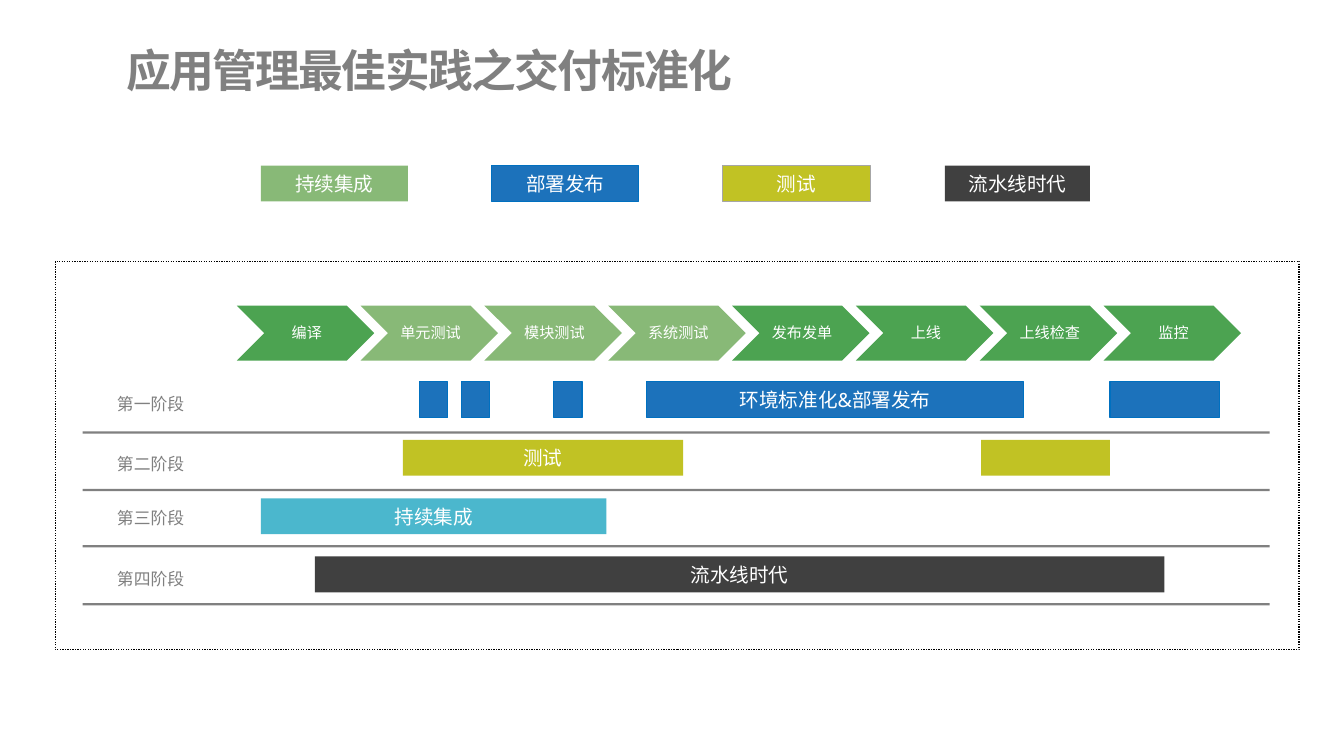
from pptx import Presentation
from pptx.dml.color import RGBColor
from pptx.enum.dml import MSO_LINE
from pptx.enum.shapes import MSO_SHAPE as SHAPE
from pptx.enum.text import MSO_ANCHOR as ANCHOR, MSO_AUTO_SIZE as AUTO_SIZE, PP_ALIGN as ALIGN
from pptx.oxml.ns import qn
from pptx.util import Pt

PX = 9144  # EMU per px, 100 px to the inch

WHITE = RGBColor(0xFF, 0xFF, 0xFF)
BLACK = RGBColor(0x00, 0x00, 0x00)
GRAY = RGBColor(0x80, 0x80, 0x80)
SILVER = RGBColor(0xA6, 0xA6, 0xA6)
CHARCOAL = RGBColor(0x40, 0x40, 0x40)
GREEN = RGBColor(0x4C, 0xA3, 0x51)
SAGE = RGBColor(0x88, 0xB9, 0x77)
BLUE = RGBColor(0x1C, 0x72, 0xBB)
BLUE_EDGE = RGBColor(0x00, 0x70, 0xC0)
OLIVE = RGBColor(0xC1, 0xC2, 0x24)
TEAL = RGBColor(0x4B, 0xB7, 0xCD)

SANS, CJK = "Noto Sans", "Noto Sans CJK SC"
BAR_HEIGHT = 79

# Legend: left, width, text, fill, edge
LEGEND = [
    (0, 324, "持续集成", SAGE, None),
    (509, 324, "部署发布", BLUE, BLUE_EDGE),
    (1018, 326, "测试", OLIVE, SILVER),
    (1508, 320, "流水线时代", CHARCOAL, None),
]

STEPS = [
    ("编译", GREEN), ("单元测试", SAGE), ("模块测试", SAGE), ("系统测试", SAGE),
    ("发布发单", GREEN), ("上线", GREEN), ("上线检查", GREEN), ("监控", GREEN),
]

# Stages: name, label top, bar top, rule top, fill, edge, bars (left, width, text)
STAGES = [
    ("第一阶段", 286, 266, 375, BLUE, BLUE_EDGE,
     [(803, 62, ""), (895, 62, ""), (1099, 62, ""),
      (1304, 830, "环境标准化&部署发布"), (2325, 241, "")]),
    ("第二阶段", 419, 394, 502, OLIVE, None, [(766, 618, "测试"), (2041, 284, "")]),
    ("第三阶段", 537, 523, 626, TEAL, None, [(453, 762, "持续集成")]),
    ("第四阶段", 673, 651, 754, CHARCOAL, None, [(572, 1873, "流水线时代")]),
]


def write_text(shape, text, size=31.1, color=WHITE, font=SANS, bold=False,
               align=ALIGN.CENTER, margins=(10, 5, 10, 5), line_spacing=None, tracking=None):
    frame = shape.text_frame
    frame.word_wrap = True
    frame.auto_size = AUTO_SIZE.NONE
    frame.vertical_anchor = ANCHOR.MIDDLE
    (frame.margin_left, frame.margin_top,
     frame.margin_right, frame.margin_bottom) = [m * PX for m in margins]
    paragraph = frame.paragraphs[0]
    paragraph.alignment = align
    paragraph.line_spacing = line_spacing
    run = paragraph.add_run()
    run.text = text
    run.font.size = Pt(size)
    run.font.bold = bold
    run.font.color.rgb = color
    run.font.name = font
    properties = run.font._element
    properties.makeelement(qn("a:ea"), {})
    east_asian = properties.makeelement(qn("a:ea"), {"typeface": CJK})
    properties.find(qn("a:latin")).addnext(east_asian)
    if tracking is not None:
        properties.set("spc", str(tracking))


def add_block(slide, left, top, width, height, fill=None, edge=None, kind=SHAPE.RECTANGLE):
    block = slide.shapes.add_shape(kind, left * PX, top * PX, width * PX, height * PX)
    block.shadow.inherit = False
    if fill is None:
        block.fill.background()
    else:
        block.fill.solid()
        block.fill.fore_color.rgb = fill
    if edge is None:
        block.line.fill.background()
    else:
        block.line.color.rgb = edge
        block.line.width = Pt(2)
    return block


def add_bar(slide, left, top, width, text, fill, edge):
    bar = add_block(slide, left, top, width, BAR_HEIGHT, fill, edge)
    if text:
        write_text(bar, text)


def add_title(slide, left, top, width, height):
    title = slide.shapes.title
    title.left, title.top = left * PX, top * PX
    title.width, title.height = width * PX, height * PX
    write_text(title, "应用管理最佳实践之交付标准化", size=71.1, color=GRAY, font=CJK, bold=True,
               align=ALIGN.LEFT, margins=(30, 15, 30, 15), tracking=-250)


def add_legend(slide, left, top):
    for offset, width, text, fill, edge in LEGEND:
        add_bar(slide, left + offset, top, width, text, fill, edge)


def add_process(slide, left, top, pitch=273, width=303, height=121):
    for index, (text, fill) in enumerate(STEPS):
        step = add_block(slide, left + index * pitch, top, width, height, fill, kind=SHAPE.CHEVRON)
        write_text(step, text, size=24, margins=(10, 4, 4, 4), line_spacing=0.9)


def add_stage(slide, left, top, stage):
    name, label_top, bar_top, rule_top, fill, edge, bars = stage
    label = slide.shapes.add_textbox((left + 126) * PX, (top + label_top) * PX, 172 * PX, 56 * PX)
    write_text(label, name, size=26.7, color=GRAY, align=ALIGN.LEFT, margins=(10, 0, 0, 0))
    for offset, width, text in bars:
        add_bar(slide, left + offset, top + bar_top, width, text, fill, edge)
    add_block(slide, left + 60, top + rule_top, 2617, 5, GRAY)


def add_roadmap(slide, left, top, width, height):
    frame = add_block(slide, left, top, width, height, edge=BLACK)
    frame.line.dash_style = MSO_LINE.ROUND_DOT
    add_process(slide, left + 400, top + 98)
    for stage in STAGES:
        add_stage(slide, left, top, stage)


def main():
    deck = Presentation()
    deck.slide_width, deck.slide_height = 2963 * PX, 1667 * PX
    slide = deck.slides.add_slide(deck.slide_layouts[5])
    add_title(slide, 248, 78, 1416, 152)
    add_legend(slide, 575, 365)
    add_roadmap(slide, 122, 576, 2742, 857)
    deck.save("out.pptx")


if __name__ == "__main__":
    main()
